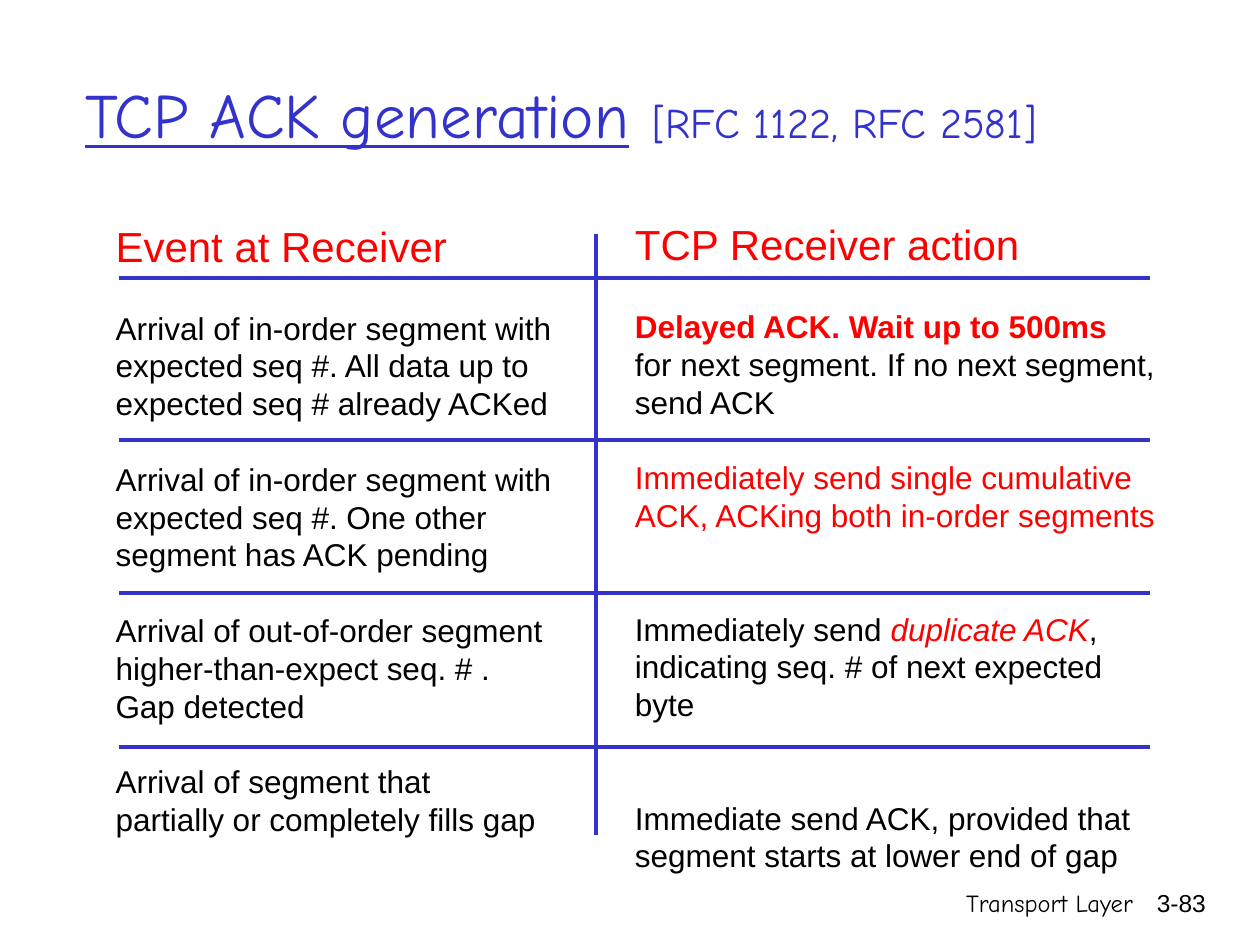
from dataclasses import dataclass

from lxml import etree
from pptx import Presentation
from pptx.dml.color import RGBColor
from pptx.enum.shapes import MSO_CONNECTOR
from pptx.enum.text import MSO_ANCHOR, PP_ALIGN
from pptx.oxml.ns import qn
from pptx.util import Cm, Pt

STRAIGHT = MSO_CONNECTOR.STRAIGHT
LEFT, RIGHT = PP_ALIGN.LEFT, PP_ALIGN.RIGHT
TOP, MIDDLE = MSO_ANCHOR.TOP, MSO_ANCHOR.MIDDLE


@dataclass(frozen=True)
class Theme:
    blue: str = "3333CC"
    red: str = "FF0000"
    black: str = "000000"
    hand: str = "Comic Neue"
    sans: str = "Arial"
    title: int = 36
    title_gap: int = 40
    reference: int = 24
    heading: int = 24
    body: int = 18
    footer: int = 14
    rule: float = 2.25
    leading: float = 1.2


@dataclass(frozen=True)
class Box:
    """A region of the page, in centimetres."""
    left: float
    top: float
    width: float
    height: float

    def inner(self, left, top, width, height):
        return Box(self.left + left, self.top + top, width, height)


THEME = Theme()
BODY_LINE = THEME.body * THEME.leading
LINES_PER_ROW = 4
HEADING_LINES = 3  # the heading and its gap use one line less than a row

EVENTS = [
    ["Arrival of in-order segment with", "expected seq #. All data up to",
     "expected seq # already ACKed"],
    ["Arrival of in-order segment with", "expected seq #. One other",
     "segment has ACK pending"],
    ["Arrival of out-of-order segment", "higher-than-expect seq. # .",
     "Gap detected"],
    ["Arrival of segment that", "partially or completely fills gap"],
]

# A line is plain text or a list of (text, style) spans.
RED = {"color": THEME.red}
ACTIONS = [
    [[("Delayed ACK. Wait up to 500ms", {**RED, "bold": True})],
     "for next segment. If no next segment,", "send ACK"],
    [[("Immediately send single cumulative", RED)],
     [("ACK, ACKing both in-order segments", RED)]],
    [[("Immediately send ", {}), ("duplicate ACK", {**RED, "italic": True}), (",", {})],
     "indicating seq. # of next expected byte"],
    ["Immediate send ACK, provided that", "segment starts at lower end of gap"],
]


def add_text_frame(page, box, wrap=True, anchor=TOP):
    shape = page.shapes.add_textbox(
        Cm(box.left), Cm(box.top), Cm(box.width), Cm(box.height))
    frame = shape.text_frame
    frame.word_wrap = wrap
    frame.vertical_anchor = anchor
    return frame


def add_span(para, text, size, font=THEME.sans, color=THEME.black, **style):
    span = para.add_run()
    span.text = text
    span.font.name = font
    span.font.size = Pt(size)
    span.font.color.rgb = RGBColor.from_string(color)
    for name, value in style.items():
        setattr(span.font, name, value)


def add_rule(page, x1, y1, x2, y2):
    rule = page.shapes.add_connector(STRAIGHT, Cm(x1), Cm(y1), Cm(x2), Cm(y2))
    rule.line.color.rgb = RGBColor.from_string(THEME.blue)
    rule.line.width = Pt(THEME.rule)
    etree.SubElement(rule._element.spPr, qn("a:effectLst"))


def add_title(page, box):
    para = add_text_frame(page, box, anchor=MIDDLE).paragraphs[0]
    para.alignment = LEFT
    spans = [("TCP ACK generation", THEME.title, True),
             (" ", THEME.title_gap, False),
             ("[RFC 1122, RFC 2581]", THEME.reference, False)]
    for text, size, underline in spans:
        add_span(para, text, size, THEME.hand, THEME.blue, underline=underline)


def add_column(page, box, heading, rows):
    """Stack the rows under a heading, each row as tall as four body lines."""
    frame = add_text_frame(page, box, wrap=False)
    para = frame.paragraphs[0]
    para.alignment = LEFT
    para.line_spacing = Pt(THEME.heading * THEME.leading)
    add_span(para, heading, THEME.heading, color=THEME.red)
    used = HEADING_LINES
    for row in rows:
        for index, line in enumerate(row):
            para = frame.add_paragraph()
            para.alignment = LEFT
            para.line_spacing = Pt(BODY_LINE)
            if index == 0:
                para.space_before = Pt(BODY_LINE * (LINES_PER_ROW - used))
            spans = [(line, {})] if isinstance(line, str) else line
            for text, style in spans:
                add_span(para, text, THEME.body, **style)
        used = len(row)


def add_event_grid(page, box):
    add_column(page, box.inner(0, 0.03, 9.3, box.height), "Event at Receiver", EVENTS)
    add_column(page, box.inner(10.47, 0, 11.3, box.height), "TCP Receiver action", ACTIONS)
    for offset in (1.31, 4.58, 7.67, 10.76):
        y = box.top + offset
        add_rule(page, box.left + 0.32, y, box.left + 21.11, y)
    divider = box.left + 9.93
    add_rule(page, divider, box.top + 0.43, divider, box.top + 12.55)


def add_footer(page, box):
    parts = [("Transport Layer", THEME.hand, 0, 8.05),
             ("3-83", THEME.sans, 7.64, 1.88)]
    for text, font, left, width in parts:
        para = add_text_frame(page, box.inner(left, 0, width, box.height)).paragraphs[0]
        para.alignment = RIGHT
        add_span(para, text, THEME.footer, font)


def main():
    deck = Presentation()
    deck.slide_width, deck.slide_height = Cm(25.4), Cm(19.05)
    page = deck.slides.add_slide(deck.slide_layouts[6])
    add_footer(page, Box(15.04, 17.78, 9.52, 1.27))
    add_title(page, Box(1.47, 0.64, 21.59, 3.18))
    add_event_grid(page, Box(2.08, 4.29, 21.77, 14.22))
    deck.save("out.pptx")


if __name__ == "__main__":
    main()
